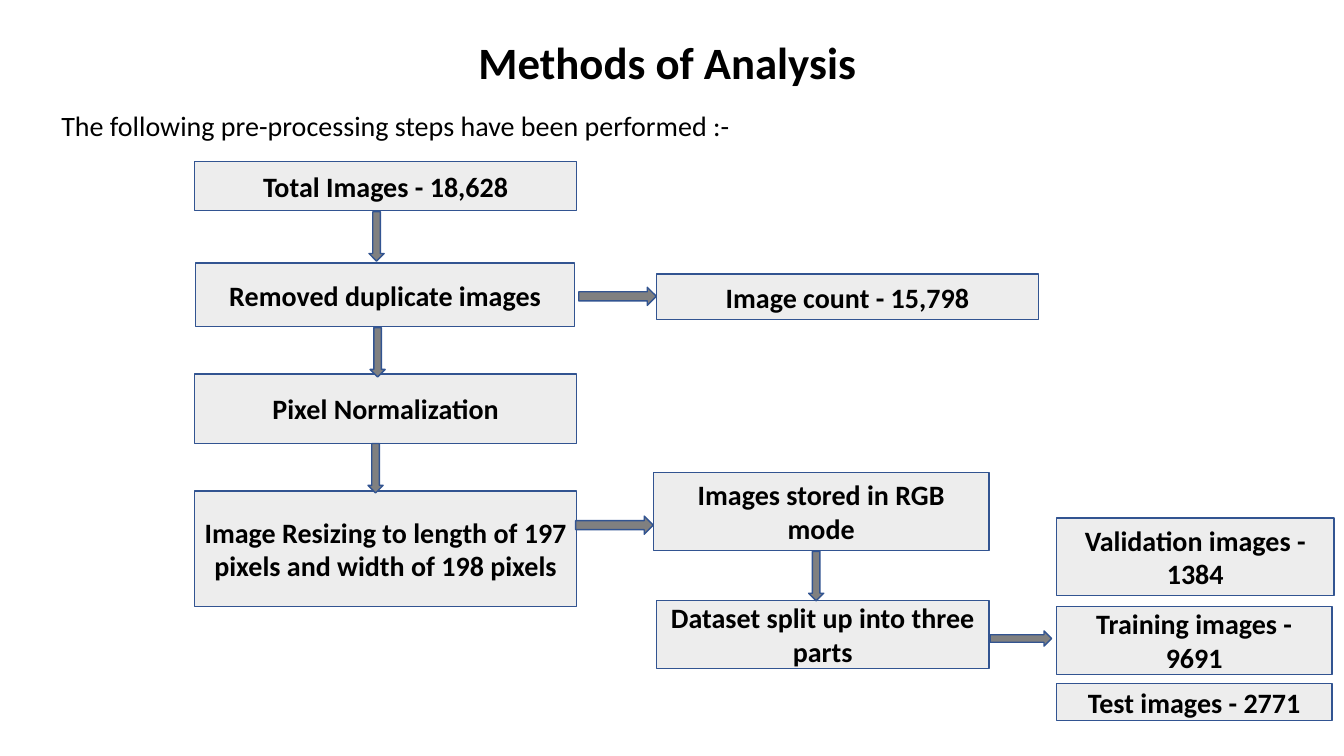
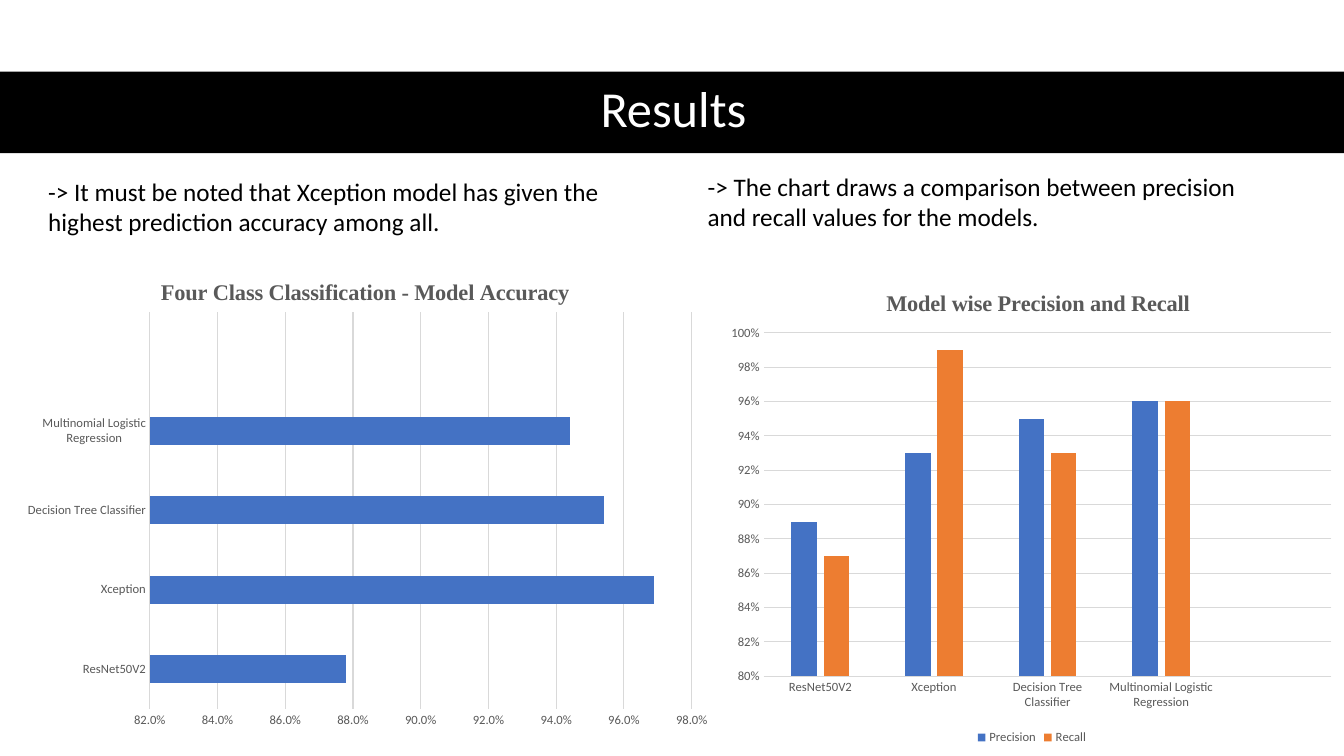
from pptx import Presentation
from pptx.chart.data import CategoryChartData
from pptx.dml.color import RGBColor
from pptx.enum.chart import XL_CHART_TYPE, XL_LEGEND_POSITION, XL_TICK_MARK
from pptx.enum.shapes import MSO_SHAPE
from pptx.enum.text import MSO_ANCHOR, MSO_AUTO_SIZE, PP_ALIGN
from pptx.oxml import parse_xml
from pptx.oxml.ns import nsdecls
from pptx.util import Inches, Pt

RECT, DOWN, RIGHT = MSO_SHAPE.RECTANGLE, MSO_SHAPE.DOWN_ARROW, MSO_SHAPE.RIGHT_ARROW
COLUMN, BAR = XL_CHART_TYPE.COLUMN_CLUSTERED, XL_CHART_TYPE.BAR_CLUSTERED
NO_TICK, LEGEND_BOTTOM = XL_TICK_MARK.NONE, XL_LEGEND_POSITION.BOTTOM
CENTER, MIDDLE, NO_FIT = PP_ALIGN.CENTER, MSO_ANCHOR.MIDDLE, MSO_AUTO_SIZE.NONE

FONT, CHART_TITLE_FONT = "Calibri", "Times New Roman"
COLORS = {
    "black": "000000", "white": "FFFFFF", "box": "EDEDED", "outline": "325491",
    "arrow": "808080", "label": "595959", "grid": "D9D9D9",
    "blue": "4472C4", "orange": "ED7D31",
}

# Flow chart: text, left, top, width, height
STEPS = [
    ("Total Images - 18,628", 1.93, 1.6, 3.79, 0.49),
    ("Removed duplicate images", 1.94, 2.61, 3.76, 0.63),
    ("Image count - 15,798", 6.51, 2.72, 3.79, 0.45),
    ("Pixel Normalization", 1.93, 3.71, 3.79, 0.69),
    ("Image Resizing to length of 197 pixels and width of 198 pixels",
     1.93, 4.87, 3.79, 1.15),
    ("Images stored in RGB mode", 6.48, 4.69, 3.33, 0.77),
    ("Dataset split up into three parts", 6.51, 5.96, 3.3, 0.67),
    ("Validation images - 1384", 10.48, 5.14, 2.75, 0.77),
    ("Training images - 9691", 10.48, 6.02, 2.73, 0.67),
    ("Test images - 2771", 10.48, 6.78, 2.73, 0.37),
]
DOWN_ARROWS = [(3.66, 2.1), (3.67, 3.25), (3.65, 4.4), (8.02, 5.47)]
RIGHT_ARROWS = [(5.74, 2.85, 0.77, 0.18), (5.71, 5.12, 0.77, 0.18),
                (9.82, 6.26, 0.61, 0.15)]

# Charts; the last category is an empty slot
MODELS = ["ResNet50V2", "Xception", "Decision Tree Classifier",
          "Multinomial Logistic Regression", ""]
CHARTS = [
    {"kind": COLUMN, "at": (7.14, 2.63, 6.19, 4.8),
     "title": "Model wise Precision and Recall", "title_at": (0.26, 0.04),
     "plot_at": (0.07, 0.14, 0.91, 0.71),
     "series": [("Precision", "blue", (0.89, 0.93, 0.95, 0.96, None)),
                ("Recall", "orange", (0.87, 0.99, 0.93, 0.96, None))],
     "range": (0.8, 1), "format": "0%", "gap": 219, "overlap": -27, "legend": True},
    {"kind": BAR, "at": (0.16, 2.52, 6.98, 4.8),
     "title": "Four Class Classification - Model Accuracy", "title_at": (0.2, 0.04),
     "plot_at": (0.19, 0.12, 0.77, 0.82),
     "series": [("Series 1", "blue", (0.878, 0.969, 0.954, 0.944, None))],
     "range": (0.82, 0.98), "format": "0.0%", "gap": 182, "overlap": 0,
     "legend": False},
]
REMARKS = [
    ("-> It must be noted that Xception model has given the highest prediction "
     "accuracy among all.", 0.38, 1.7, 5.67, 0.71),
    ("-> The chart draws a comparison between precision and recall values for "
     "the models.", 6.92, 1.65, 5.67, 0.71),
]


def rgb(name):
    return RGBColor.from_string(COLORS[name])


def style(font, size, color, bold=False, name=FONT):
    font.name, font.size, font.bold = name, Pt(size), bold
    font.color.rgb = rgb(color)


def set_text(sp, text, size, color="black", bold=False, align=None, spacing=None):
    tf = sp.text_frame
    tf.text = text
    tf.word_wrap = True
    p = tf.paragraphs[0]
    p.alignment, p.line_spacing = align, spacing
    style(p.runs[0].font, size, color, bold)


def add_slide(prs, title, at, size, color, bold=False):
    s = prs.slides.add_slide(prs.slide_layouts[5])
    sp = s.shapes.title
    sp.left, sp.top, sp.width, sp.height = map(Inches, at)
    set_text(sp, title, size, color, bold, CENTER, 0.9)
    sp.text_frame.vertical_anchor = MIDDLE
    sp.text_frame.auto_size = NO_FIT
    return s


def add_block(s, kind, at, fill, outline=None):
    sp = s.shapes.add_shape(kind, *map(Inches, at))
    sp.shadow.inherit = False
    sp.fill.solid()
    sp.fill.fore_color.rgb = rgb(fill)
    if outline:
        sp.line.color.rgb = rgb(outline)
        sp.line.width = Pt(1)
    else:
        sp.line.fill.background()
    return sp


def add_text(s, text, at, size, spacing=None):
    sp = s.shapes.add_textbox(*map(Inches, at))
    set_text(sp, text, size, spacing=spacing)


def place(parent, index, fractions, inner=False):
    """Give a chart part a fixed position, in fractions of the chart."""
    for old in parent.xpath("c:layout"):
        parent.remove(old)
    target = '<c:layoutTarget val="inner"/>' if inner else ""
    names = "xywh"[:len(fractions)]
    modes = "".join(f'<c:{n}Mode val="edge"/>' for n in names[:2])
    values = "".join(f'<c:{n} val="{v}"/>' for n, v in zip(names, fractions))
    parent.insert(index, parse_xml(
        f'<c:layout {nsdecls("c")}><c:manualLayout>{target}{modes}{values}'
        '</c:manualLayout></c:layout>'))


def grey_line(line):
    line.color.rgb = rgb("grid")
    line.width = Pt(0.75)


def add_chart(s, info):
    data = CategoryChartData(number_format=info["format"])
    data.categories = MODELS
    for name, _, values in info["series"]:
        data.add_series(name, values)
    chart = s.shapes.add_chart(info["kind"], *map(Inches, info["at"]), data).chart
    style(chart.font, 10, "black")

    # Title and plot area
    chart.has_title = True
    tf = chart.chart_title.text_frame
    tf.text = info["title"]
    style(tf.paragraphs[0].runs[0].font, 16, "label", True, CHART_TITLE_FONT)
    place(chart.element.xpath("c:chart/c:title")[0], 1, info["title_at"])
    place(chart.element.xpath("c:chart/c:plotArea")[0], 0, info["plot_at"], True)

    # Bars
    plot = chart.plots[0]
    plot.vary_by_categories = False
    plot.gap_width, plot.overlap = info["gap"], info["overlap"]
    for series, (_, color, _) in zip(plot.series, info["series"]):
        series.format.fill.solid()
        series.format.fill.fore_color.rgb = rgb(color)

    # Axes
    cat, val = chart.category_axis, chart.value_axis
    for axis in (cat, val):
        axis.major_tick_mark = axis.minor_tick_mark = NO_TICK
        style(axis.tick_labels.font, 9, "label")
    grey_line(cat.format.line)
    val.format.line.fill.background()
    val.has_major_gridlines = True
    grey_line(val.major_gridlines.format.line)
    val.minimum_scale, val.maximum_scale = info["range"]
    val.major_unit = 0.02
    val.tick_labels.number_format = info["format"]
    val.tick_labels.number_format_is_linked = False

    chart.has_legend = info["legend"]
    if info["legend"]:
        chart.legend.position = LEGEND_BOTTOM
        chart.legend.include_in_layout = False
        style(chart.legend.font, 9, "label")


def build_methods(prs):
    s = add_slide(prs, "Methods of Analysis", (0.87, -0.08, 11.5, 1.45),
                  32, "black", True)
    add_text(s, "The following pre-processing steps have been performed :-",
             (0.51, 1.06, 11.5, 0.45), 20, 0.9)
    for text, *at in STEPS:
        sp = add_block(s, RECT, at, "box", "outline")
        set_text(sp, text, 20, bold=True, align=CENTER)
        sp.text_frame.vertical_anchor = MIDDLE
    for left, top in DOWN_ARROWS:
        add_block(s, DOWN, (left, top, 0.15, 0.49), "arrow", "outline")
    for at in RIGHT_ARROWS:
        add_block(s, RIGHT, at, "arrow", "outline")


def build_results(prs):
    s = add_slide(prs, "Results", (0.55, 0.7, 12.26, 0.81), 36, "white")
    band = add_block(s, RECT, (0, 0.71, 13.33, 0.81), "black")
    s.shapes.title.element.addprevious(band.element)  # band behind the title
    for info in CHARTS:
        add_chart(s, info)
    for text, *at in REMARKS:
        add_text(s, text, at, 18)


def main():
    prs = Presentation()
    prs.slide_width, prs.slide_height = Inches(13.33), Inches(7.5)
    build_methods(prs)
    build_results(prs)
    prs.save("out.pptx")


if __name__ == "__main__":
    main()
